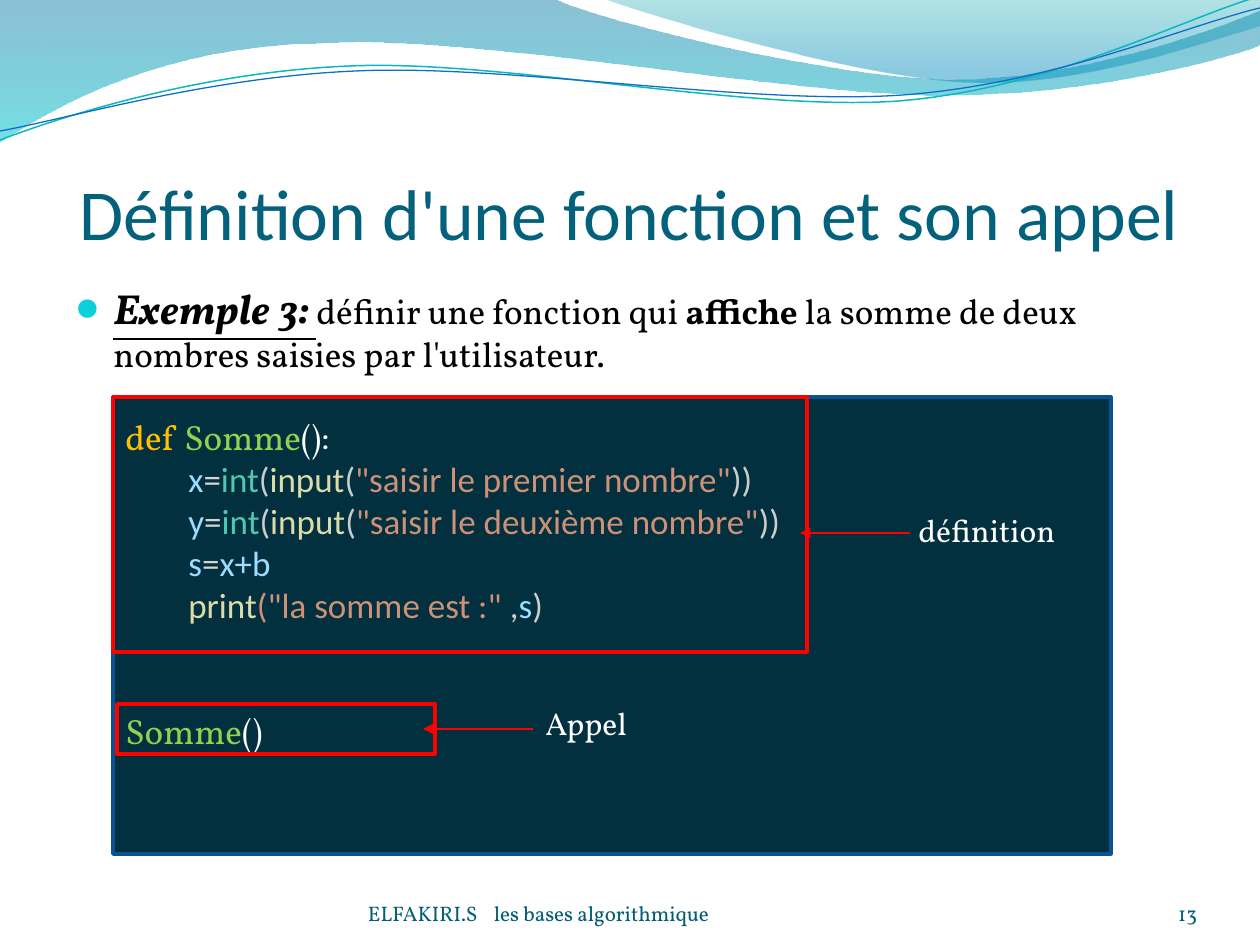
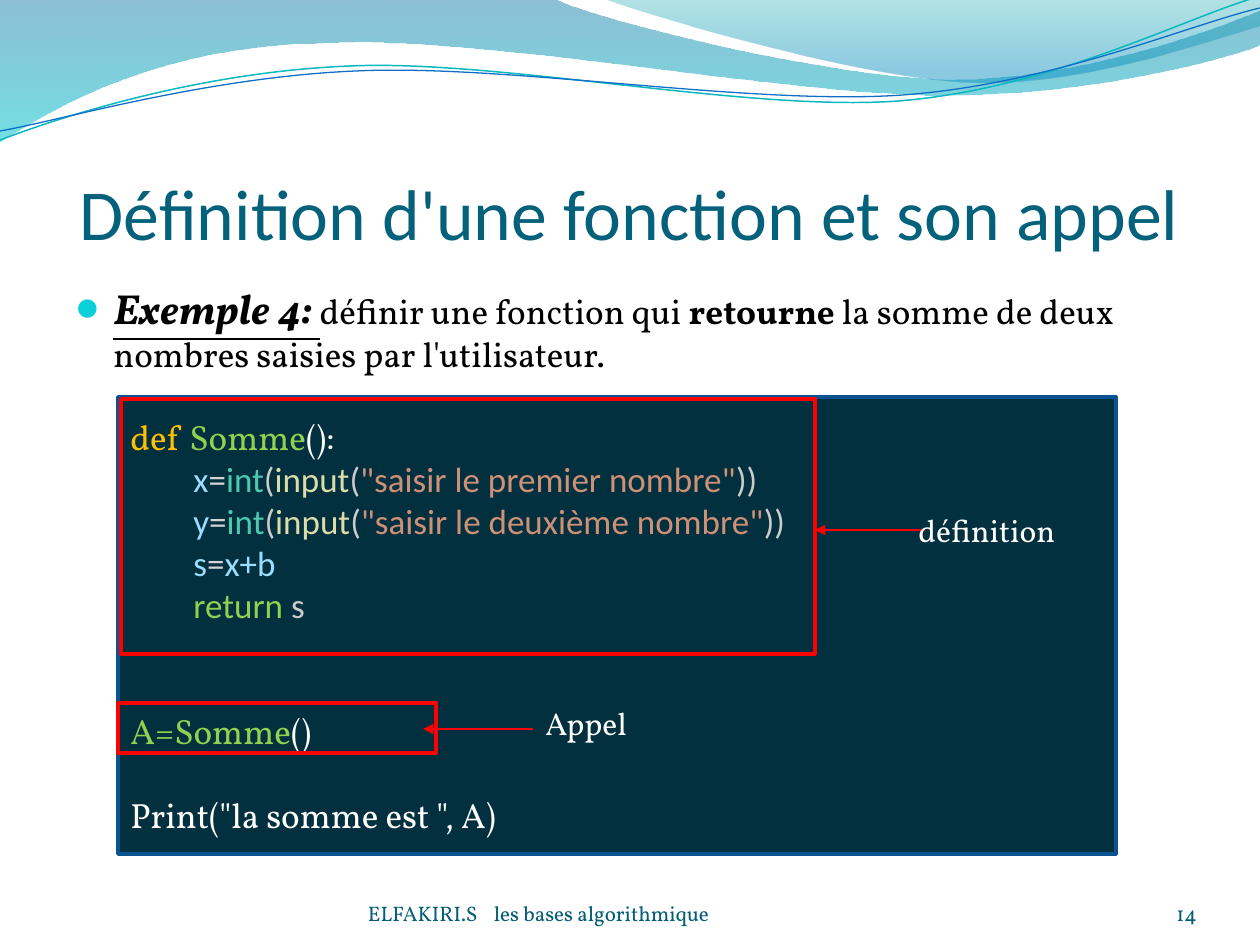
"""Build two slides that define and call a Python function."""
from lxml.etree import SubElement
from pptx import Presentation
from pptx.dml.color import RGBColor
from pptx.enum.shapes import MSO_CONNECTOR, MSO_SHAPE
from pptx.enum.text import MSO_ANCHOR, PP_ALIGN
from pptx.oxml.ns import qn
from pptx.util import Pt

UNIT = 914400 / 126
SERIF, SANS = "Vollkorn", "Calibri"
HUES = {
    "title": "04617B", "foot": "045D75", "ink": "000000", "white": "FFFFFF",
    "dot": "0BD0D9", "panel": "02303E", "edge": "0B5292", "mark": "FF0000",
    "key": "FFC000", "name": "92D050", "var": "9CDCFE", "sign": "D4D4D4",
    "type": "4EC9B0", "punct": "CCCCCC", "call": "DCDCAA", "text": "CE9178",
    "teal": "0AB8BF", "blue": "0F6FC6",
}
BANDS = [
    ([(0, 0), (554, -1), (600, 21, 837, 79, 955, 79),
      (1075, 79, 1207, 33, 1260, 11), (1261, 45),
      (1239, 55, 1096, 96, 940, 95), (783, 95, 481, 35, 324, 43),
      (163, 45, 58, 105, -1, 142), (0, 0)],
     [(0, "0074A1", 45), (1, "00C6CF", 55)]),
    ([(604, -1), (641, 14, 859, 78, 969, 82),
      (1079, 87, 1211, 40, 1260, 26), (1260, 0), (604, -1)],
     [(0, "00A1A9", 30), (0.8, "008BBF", 45)]),
]
WAVES = [
    ([(0, 140), (60, 117, 199, 72, 349, 66),
      (498, 59, 747, 112, 898, 101), (1050, 89, 1182, 19, 1257, -3)],
     "teal", 0.85),
    ([(0, 131), (59, 121, 207, 77, 357, 71),
      (508, 64, 752, 106, 903, 95), (1053, 84, 1185, 26, 1260, 8)],
     "blue", 0.75),
]


def px(num):
    """Turn pixels into EMU."""
    return round(num * UNIT)


def hue(key):
    """Give the colour for a key or a hex string."""
    return RGBColor.from_string(HUES.get(key, key))


def apply(item, **vals):
    """Set each attribute of an item from its format values."""
    for key, val in vals.items():
        setattr(item, key, val)


def place(shape, box):
    """Move and size a shape."""
    sides = ("left", "top", "width", "height")
    apply(shape, **dict(zip(sides, map(px, box))))


def frame(shape, anchor=MSO_ANCHOR.TOP, **pads):
    """Set wrap, anchor and the given insets, and return the text frame."""
    body = shape.text_frame
    apply(body, word_wrap=True, vertical_anchor=anchor,
          **{f"margin_{side}": px(pad) for side, pad in pads.items()})
    return body


def write(para, text, color, size, name=SERIF, **style):
    """Add one run with its font."""
    run = para.add_run()
    run.text = text
    apply(run.font, size=Pt(size), name=name, **style)
    run.font.color.rgb = hue(color)


def label(slide, box, text, color, size, align=PP_ALIGN.LEFT, **opts):
    """Add a text box of one line and return its paragraph."""
    body = frame(slide.shapes.add_textbox(*map(px, box)), **opts)
    para = body.paragraphs[0]
    para.alignment = align
    write(para, text, color, size)
    return para


def curve(slide, path, close):
    """Add a freeform of straight and cubic segments."""
    dots = [(px(seg[i]), px(seg[i + 1]))
            for seg in path for i in range(0, len(seg), 2)]
    form = slide.shapes.build_freeform(*dots[0])
    form.add_line_segments(dots[1:], close=close)
    shape = form.convert_to_shape()
    shape.shadow.inherit = False
    steps = iter(list(shape._element.iter(qn("a:lnTo"))))
    for seg in path[1:]:
        step = next(steps)
        if len(seg) == 6:
            step.tag = qn("a:cubicBezTo")
            for _ in range(2):
                extra = next(steps)
                step.append(extra[0])
                extra.getparent().remove(extra)
    return shape


def band(slide, path, stops):
    """Add a filled wave with a see-through gradient."""
    shape = curve(slide, path, True)
    shape.line.fill.background()
    shape.fill.gradient()
    shape.fill.gradient_angle = 270
    for stop, (pos, color, _) in zip(shape.fill.gradient_stops, stops):
        stop.position = pos
        stop.color.rgb = hue(color)
    nodes = shape._element.spPr.iter(qn("a:srgbClr"))
    for node, (_, _, alpha) in zip(nodes, stops):
        SubElement(node, qn("a:alpha")).set("val", str(alpha * 1000))


def stroke(line, color, width):
    """Set the colour and width of a line."""
    line.color.rgb = hue(color)
    line.width = Pt(width)


def rect(slide, box, color, fill=None):
    """Add a rectangle, hollow unless it has a fill."""
    shape = slide.shapes.add_shape(MSO_SHAPE.RECTANGLE, *map(px, box))
    shape.shadow.inherit = False
    stroke(shape.line, color, 2)
    if fill:
        shape.fill.solid()
        shape.fill.fore_color.rgb = hue(fill)
    else:
        shape.fill.background()
    return shape


def arrow(slide, start, end, y):
    """Add a level arrow."""
    link = slide.shapes.add_connector(
        MSO_CONNECTOR.STRAIGHT, px(start), px(y), px(end), px(y))
    stroke(link.line, "mark", 0.75)
    SubElement(link.line._get_or_add_ln(), qn("a:tailEnd")).set(
        "type", "triangle")
    SubElement(link._element.spPr, qn("a:effectLst"))


def base(deck, number):
    """Add a slide with waves, title and footer."""
    slide = deck.slides.add_slide(deck.slide_layouts[5])
    for path, stops in BANDS:
        band(slide, path, stops)
    for path, color, width in WAVES:
        shape = curve(slide, path, False)
        shape.fill.background()
        stroke(shape.line, color, width)
    flat = {"anchor": MSO_ANCHOR.BOTTOM,
            "left": 0, "top": 0, "right": 0, "bottom": 0}
    title = slide.shapes.title
    place(title, (63, 97, 1134, 158))
    para = frame(title, **flat).paragraphs[0]
    para.alignment = PP_ALIGN.CENTER
    write(para, "Définition d'une fonction et son appel", "title", 41, SANS)
    foot = label(slide, (368, 876, 462, 50),
                 "ELFAKIRI.S\tles bases algorithmique", "foot", 12, **flat)
    tabs = SubElement(foot._p.get_or_add_pPr(), qn("a:tabLst"))
    stop = SubElement(tabs, qn("a:tab"))
    stop.set("pos", str(px(126)))
    stop.set("algn", "l")
    label(slide, (1092, 876, 105, 50), str(number), "foot", 12,
          PP_ALIGN.RIGHT, **flat)
    return slide


def task(slide, number, verb):
    """Add the bulleted task."""
    body = frame(slide.shapes.add_textbox(*map(px, (63, 276, 1134, 605))))
    para = body.paragraphs[0]
    props = para._p.get_or_add_pPr()
    props.set("marL", str(px(38)))
    props.set("indent", str(px(-38)))
    tint = SubElement(props, qn("a:buClr"))
    SubElement(tint, qn("a:srgbClr")).set("val", HUES["dot"])
    SubElement(props, qn("a:buSzPct")).set("val", "95000")
    SubElement(props, qn("a:buFont")).set("typeface", SANS)
    SubElement(props, qn("a:buChar")).set("char", "●")
    write(para, f"Exemple {number}: ", "ink", 24,
          bold=True, italic=True, underline=True)
    write(para, "définir une fonction qui ", "ink", 20)
    write(para, verb, "ink", 20, bold=True)
    write(para, " la somme de deux nombres saisies par l'utilisateur.",
          "ink", 20)


def ask(name, rank):
    """Give the code that reads one number."""
    return [(name, "var"), ("=", "sign"), ("int", "type"), ("(", "punct"),
            ("input", "call"), ("(", "punct"),
            (f'"saisir le {rank} nombre"', "text"), ("))", "punct")]


def code(slide, left, last, after):
    """Add the code panel: the function, then the lines after it."""
    head = [("def ", "key"), ("Somme", "name"), ("():", "white")]
    total = [("s", "var"), ("=", "sign"), ("x+b", "var")]
    inner = [ask("x", "premier"), ask("y", "deuxième"), total, last]
    rows = [(head, SERIF, 0, 0)]
    rows += [(row, SANS, 63, 0) for row in inner]
    rows += [(row, SERIF, 0, gap) for row, gap in after]
    panel = rect(slide, (left, 397, 998, 457), "edge", "panel")
    body = frame(panel, top=18)
    for spot, (row, name, inset, gap) in enumerate(rows):
        para = body.add_paragraph() if spot else body.paragraphs[0]
        apply(para, alignment=PP_ALIGN.LEFT, space_before=Pt(gap))
        para._p.get_or_add_pPr().set("marL", str(px(inset)))
        for text, color in row:
            write(para, text, color, 20, name)


def notes(slide, outer, call, tip, y):
    """Frame the definition and the call, and label both."""
    rect(slide, (*call, 318, 50), "mark")
    rect(slide, (*outer, 694, 255), "mark")
    for end, level in ((tip, y), (423, 729)):
        arrow(slide, end + 110, end, level)
    for left, top, text in ((906, 505, "définition"), (533, 698, "Appel")):
        label(slide, (left, top, 205, 50), text, "white", 18)


def main():
    """Build and save the deck."""
    deck = Presentation()
    apply(deck, slide_width=px(1260), slide_height=px(945))

    show = base(deck, 13)
    task(show, 3, "affiche")
    code(show, 113,
         [("print", "call"), ('("la somme est :" ', "text"), (",", "punct"),
          ("s", "var"), (")", "punct")],
         [([("Somme", "name"), ("()", "white")], 48)])
    notes(show, (113, 397), (117, 704), 800, 533)

    give = base(deck, 14)
    task(give, 4, "retourne")
    code(give, 118, [("return", "name"), (" s", "punct")],
         [([("A=Somme", "name"), ("()", "white")], 48),
          ([('Print("la somme est ", A)', "white")], 24)])
    notes(give, (121, 399), (118, 703), 815, 530)

    deck.save("out.pptx")


if __name__ == "__main__":
    main()
